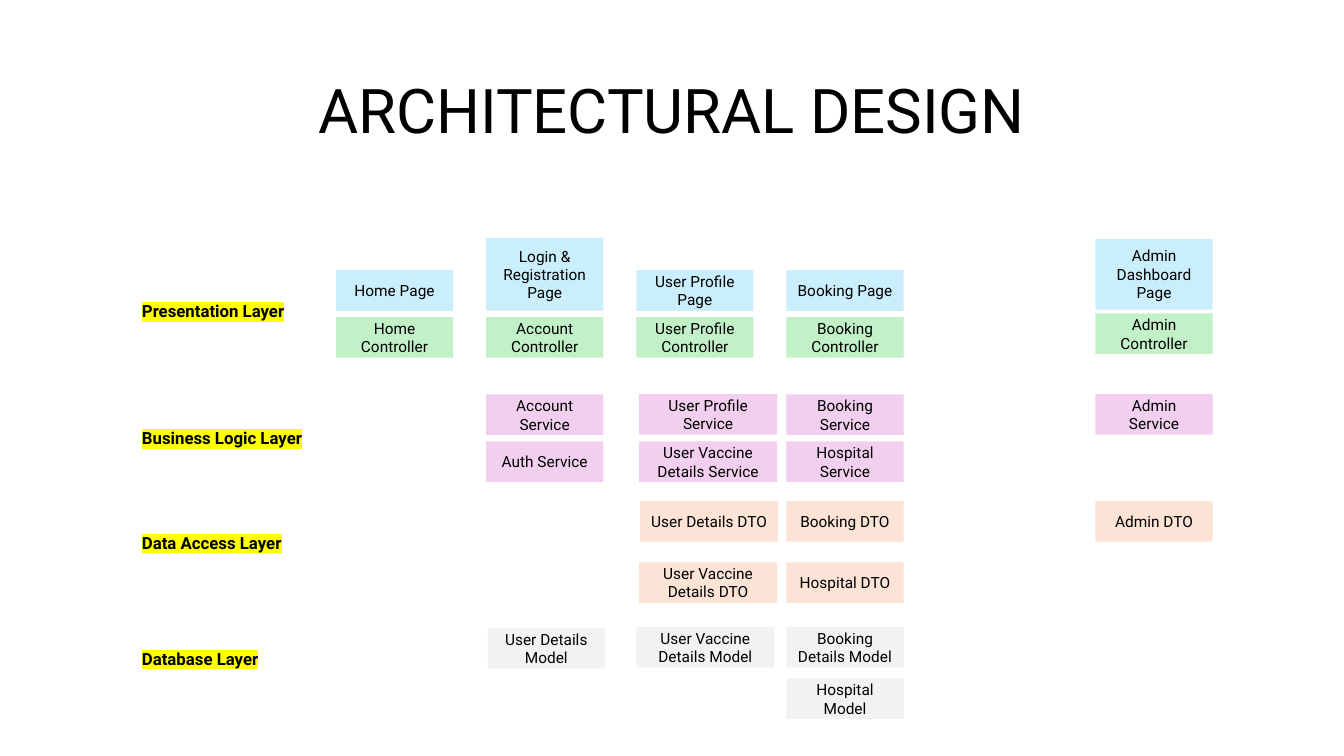
from dataclasses import dataclass

from lxml.etree import SubElement
from pptx import Presentation
from pptx.dml.color import RGBColor
from pptx.enum.shapes import MSO_SHAPE
from pptx.enum.text import MSO_ANCHOR, MSO_AUTO_SIZE, PP_ALIGN
from pptx.oxml.ns import qn
from pptx.slide import Slide
from pptx.text.text import _Paragraph
from pptx.util import Pt


@dataclass(frozen=True)
class Theme:
    """Colours and type sizes of the slide."""
    font: str = "Roboto"
    text: str = "000000"
    highlight: str = "FFFF00"
    page: str = "CAEEFB"
    controller: str = "C2F1C8"
    service: str = "F2CFEE"
    dto: str = "FBE3D6"
    model: str = "F2F2F2"
    title_size: float = 44
    label_size: float = 12
    box_size: float = 11


THEME = Theme()
NARROW, WIDE, LOW = 83.7, 98.7, 29
HOME, ACCOUNT, PROFILE, BOOKING = (240 + 107.25 * i for i in range(4))
ADMIN = 782.5
PROFILE_WIDE = 456.5
LABEL_LEFT = 94.3


@dataclass(frozen=True)
class Box:
    """A component, placed in points."""
    text: str
    left: float
    top: float
    width: float = NARROW
    height: float = LOW


@dataclass(frozen=True)
class Group:
    """Components that share a fill."""
    fill: str
    boxes: tuple[Box, ...]


@dataclass(frozen=True)
class Label:
    """The highlighted name of a layer."""
    text: str
    top: float
    width: float


GROUPS = (
    Group(THEME.page, (
        Box("Home Page", HOME, 193),
        Box("Login & Registration Page", ACCOUNT, 170, height=52),
        Box("User Profile Page", PROFILE, 193),
        Box("Booking Page", BOOKING, 193),
        Box("Admin Dashboard Page", ADMIN, 170.7, height=50.5),
    )),
    Group(THEME.controller, (
        Box("Home Controller", HOME, 226.5),
        Box("Account Controller", ACCOUNT, 226.5),
        Box("User Profile Controller", PROFILE, 226.5),
        Box("Booking Controller", BOOKING, 226.5),
        Box("Admin Controller", ADMIN, 223.8),
    )),
    Group(THEME.service, (
        Box("Account Service", ACCOUNT, 281.7),
        Box("User Profile Service", PROFILE_WIDE, 281.5, WIDE),
        Box("Booking Service", BOOKING, 281.7),
        Box("Admin Service", ADMIN, 281.5),
        Box("Auth Service", ACCOUNT, 315.2),
        Box("User Vaccine Details Service", PROFILE_WIDE, 315.2, WIDE),
        Box("Hospital Service", BOOKING, 315.2),
    )),
    Group(THEME.dto, (
        Box("User Details DTO", 457.2, 358, WIDE),
        Box("Booking DTO", BOOKING, 358),
        Box("Admin DTO", ADMIN, 358),
        Box("User Vaccine Details DTO", PROFILE_WIDE, 401.6, WIDE),
        Box("Hospital DTO", BOOKING, 401.6),
    )),
    Group(THEME.model, (
        Box("User Details Model", 348.4, 448.6),
        Box("User Vaccine Details Model", PROFILE, 447.8, WIDE),
        Box("Booking Details Model", BOOKING, 447.8),
        Box("Hospital Model", BOOKING, 484.5),
    )),
)

LABELS = (
    Label("Presentation Layer", 211.3, 118),
    Label("Business Logic Layer", 302, 129.6),
    Label("Data Access Layer", 376.9, 116),
    Label("Database Layer", 459.7, 100),
)


def style(p: _Paragraph, size: float, bold: bool = False) -> None:
    """Set the theme font on a paragraph."""
    p.font.name = THEME.font
    p.font.size = Pt(size)
    p.font.bold = bold
    p.font.color.rgb = RGBColor.from_string(THEME.text)


def set_title(s: Slide, text: str) -> None:
    """Move and fill the title placeholder."""
    sp = s.shapes.title
    sp.left, sp.top, sp.width, sp.height = Pt(66), Pt(28.75), Pt(828), Pt(104.4)
    tf = sp.text_frame
    tf.text = text
    tf.vertical_anchor = MSO_ANCHOR.MIDDLE
    p = tf.paragraphs[0]
    p.alignment = PP_ALIGN.CENTER
    p.line_spacing = 0.9
    style(p, THEME.title_size)


def add_box(s: Slide, box: Box, fill: str) -> None:
    """Draw one component."""
    sp = s.shapes.add_shape(MSO_SHAPE.RECTANGLE, Pt(box.left), Pt(box.top),
                            Pt(box.width), Pt(box.height))
    sp.shadow.inherit = False
    sp.fill.solid()
    sp.fill.fore_color.rgb = RGBColor.from_string(fill)
    sp.line.fill.background()
    tf = sp.text_frame
    tf.word_wrap = True
    tf.vertical_anchor = MSO_ANCHOR.MIDDLE
    tf.text = box.text
    p = tf.paragraphs[0]
    p.alignment = PP_ALIGN.CENTER
    style(p, THEME.box_size)


def add_label(s: Slide, label: Label) -> None:
    """Draw one highlighted layer name."""
    sp = s.shapes.add_textbox(Pt(LABEL_LEFT), Pt(label.top), Pt(label.width), Pt(21.8))
    tf = sp.text_frame
    tf.word_wrap = False
    tf.auto_size = MSO_AUTO_SIZE.SHAPE_TO_FIT_TEXT
    p = tf.paragraphs[0]
    style(p, THEME.label_size, bold=True)
    r = p.add_run()
    r.text = label.text
    highlight = SubElement(r._r.get_or_add_rPr(), qn("a:highlight"))
    SubElement(highlight, qn("a:srgbClr"), val=THEME.highlight)


def main() -> None:
    """Build and save the slide."""
    prs = Presentation()
    prs.slide_width, prs.slide_height = Pt(960), Pt(540)
    s = prs.slides.add_slide(prs.slide_layouts.get_by_name("Title Only"))
    set_title(s, "ARCHITECTURAL DESIGN")
    for group in GROUPS:
        for box in group.boxes:
            add_box(s, box, group.fill)
    for label in LABELS:
        add_label(s, label)
    prs.save("out.pptx")


if __name__ == "__main__":
    main()
